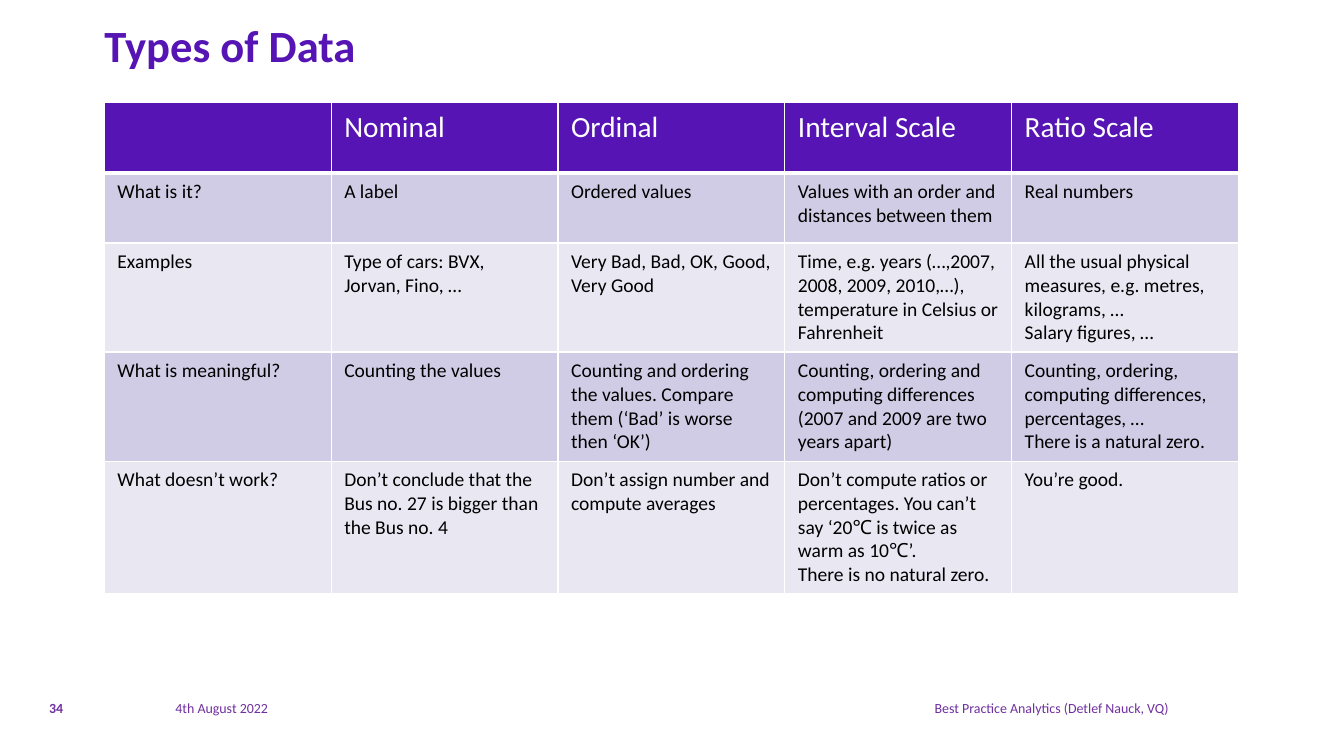
from pptx import Presentation
from pptx.dml.color import RGBColor
from pptx.enum.text import MSO_ANCHOR, PP_ALIGN
from pptx.oxml import parse_xml
from pptx.oxml.ns import nsdecls
from pptx.util import Inches, Pt

FONT = "Calibri"
PURPLE, FOOTER_PURPLE = "5514B3", "7030A0"
WHITE, BLACK = "FFFFFF", "000000"
BANDS = ("D1CCE5", "E9E7F2")
LEFT, COLUMN_WIDTH = 1.04, 2.26
TABLE_TOP = 1.02
ROW_HEIGHTS = (0.7, 0.7, 1.06, 1.06, 1.3)
FOOTER_TOP, FOOTER_HEIGHT = 6.91, 0.29

DATA_TYPES = (
    ("", "Nominal", "Ordinal", "Interval Scale", "Ratio Scale"),
    ("What is it?", "A label", "Ordered values",
     "Values with an order and distances between them", "Real numbers"),
    ("Examples", "Type of cars: BVX, Jorvan, Fino, …",
     "Very Bad, Bad, OK, Good, Very Good",
     "Time, e.g. years (…,2007, 2008, 2009, 2010,…), temperature in Celsius or Fahrenheit",
     "All the usual physical measures, e.g. metres, kilograms, …\nSalary figures, …"),
    ("What is meaningful?", "Counting the values",
     "Counting and ordering the values. Compare them (‘Bad’ is worse then ‘OK’)",
     "Counting, ordering and computing differences (2007 and 2009 are two years apart)",
     "Counting, ordering, computing differences, percentages, …\vThere is a natural zero."),
    ("What doesn’t work?",
     "Don’t conclude that the Bus no. 27 is bigger than the Bus no. 4",
     "Don’t assign number and compute averages",
     "Don’t compute ratios or percentages. You can’t say ‘20℃ is twice as warm as 10℃’.\n"
     "There is no natural zero.",
     "You’re good."),
)


def color(hex_code):
    """Turn a hex string into a colour."""
    return RGBColor.from_string(hex_code)


def format_text(frame, size, hex_code, bold=False, align=PP_ALIGN.LEFT):
    """Format every paragraph and run of a text frame."""
    for paragraph in frame.paragraphs:
        paragraph.alignment = align
        for part in (paragraph, *paragraph.runs):
            part.font.name = FONT
            part.font.size = Pt(size)
            part.font.bold = bold
            part.font.color.rgb = color(hex_code)


def add_title(slide, text):
    """Place the slide title in its placeholder."""
    title = slide.shapes.title
    title.left, title.top = Inches(LEFT), Inches(0.18)
    title.width, title.height = Inches(5 * COLUMN_WIDTH), Inches(1.08)
    frame = title.text_frame
    frame.text = text
    frame.margin_left = frame.margin_right = frame.margin_top = frame.margin_bottom = 0
    frame.vertical_anchor = MSO_ANCHOR.TOP
    format_text(frame, 32, PURPLE, bold=True)


def add_borders(cell, bottom_width):
    """Draw white lines on the four sides of a cell."""
    properties = cell._tc.get_or_add_tcPr()
    for side, width in (("L", 1), ("R", 1), ("T", 1), ("B", bottom_width)):
        properties.append(parse_xml(
            f'<a:ln{side} {nsdecls("a")} w="{Pt(width)}"><a:solidFill>'
            f'<a:srgbClr val="{WHITE}"/></a:solidFill></a:ln{side}>'))


def fill_cell(cell, text, row):
    """Write and style one cell by its row."""
    header = row == 0
    cell.text = text
    cell.margin_left = cell.margin_right = Inches(0.13)
    cell.margin_top = cell.margin_bottom = Inches(0.07)
    add_borders(cell, 3 if header else 1)
    cell.fill.solid()
    cell.fill.fore_color.rgb = color(PURPLE if header else BANDS[(row - 1) % 2])
    format_text(cell.text_frame, 21 if header else 14, WHITE if header else BLACK)


def add_comparison(slide, rows):
    """Add the table that compares the data types."""
    columns = len(rows[0])
    table = slide.shapes.add_table(
        len(rows), columns, Inches(LEFT), Inches(TABLE_TOP),
        Inches(columns * COLUMN_WIDTH), Inches(sum(ROW_HEIGHTS))).table
    for column in table.columns:
        column.width = Inches(COLUMN_WIDTH)
    for row, (height, texts) in enumerate(zip(ROW_HEIGHTS, rows)):
        table.rows[row].height = Inches(height)
        for column, text in enumerate(texts):
            fill_cell(table.cell(row, column), text, row)


def add_footer(slide, text, left, width, bold=False, align=PP_ALIGN.LEFT):
    """Add one piece of the footer line."""
    frame = slide.shapes.add_textbox(
        Inches(left), Inches(FOOTER_TOP), Inches(width), Inches(FOOTER_HEIGHT)).text_frame
    frame.text = text
    frame.word_wrap = True
    frame.vertical_anchor = MSO_ANCHOR.MIDDLE
    format_text(frame, 10, FOOTER_PURPLE, bold, align)


def main():
    """Build and save the slide."""
    deck = Presentation()
    deck.slide_width, deck.slide_height = Inches(13.39), Inches(7.48)
    slide = deck.slides.add_slide(deck.slide_layouts[5])
    add_title(slide, "Types of Data")
    add_comparison(slide, DATA_TYPES)
    add_footer(slide, "4th August 2022", 1.65, 2.04)
    add_footer(slide, "Best Practice Analytics (Detlef Nauck, VQ)", 4.02, 7.72,
               align=PP_ALIGN.RIGHT)
    add_footer(slide, "34", 0.39, 0.39, bold=True)
    deck.save("out.pptx")


if __name__ == "__main__":
    main()
